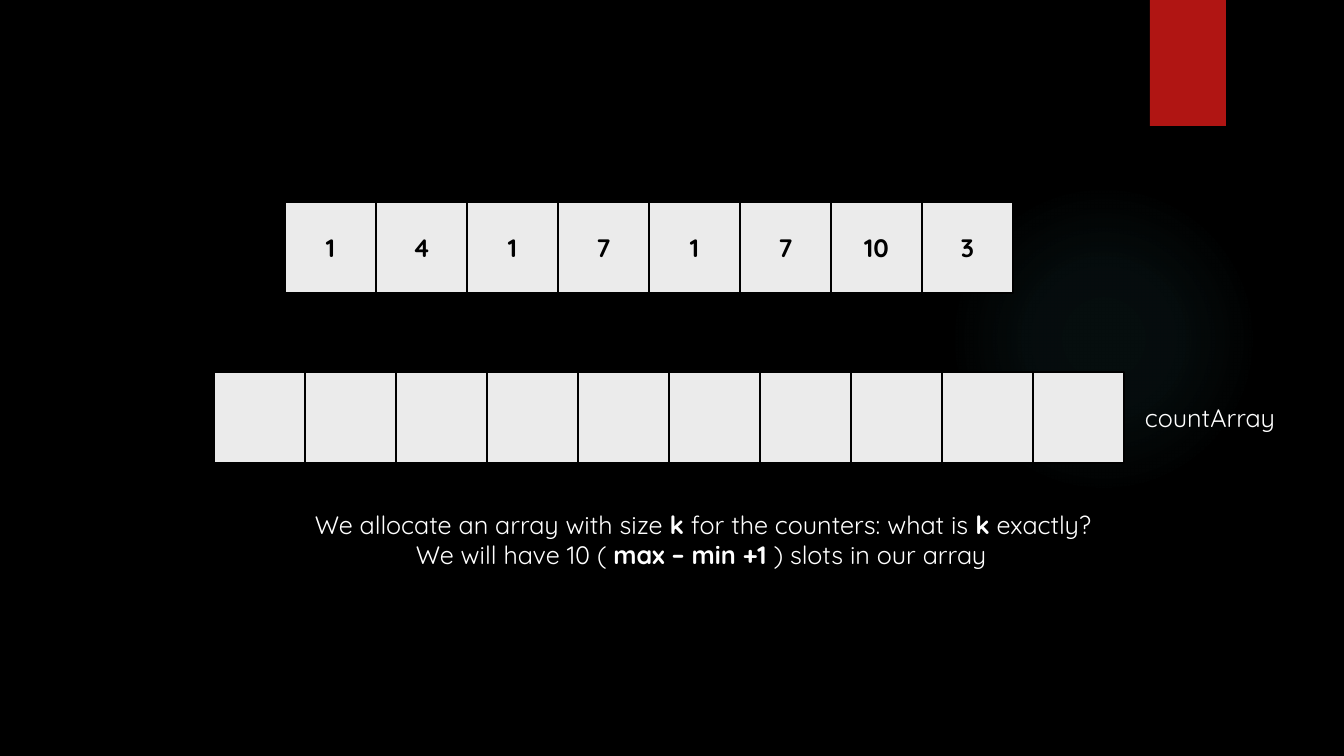
from lxml import etree
from pptx import Presentation
from pptx.dml.color import RGBColor
from pptx.enum.shapes import MSO_SHAPE
from pptx.enum.text import MSO_ANCHOR, PP_ALIGN
from pptx.oxml import parse_xml
from pptx.oxml.ns import nsdecls, qn
from pptx.util import Emu, Pt

COLORS = {"black": "000000", "cell": "EBEBEB", "white": "FFFFFF",
          "red": "B01513", "glow": "50B9C1"}
FONT, SIZE = "Quicksand", 18
EMU_PER_PX = 914400 / 100.8

# Each row of cells: left, top, values
ARRAYS = [
    (285, 202, ["1", "4", "1", "7", "1", "7", "10", "3"]),
    (214, 372, [""] * 10),
]
CELL = 91

# Each text: box, then lines of (indent, [(words, bold), ...])
TEXTS = [
    ((305, 504, 841, 72), [
        (0, [("We allocate an array with size ", False), ("k", True),
             (" for the counters: what is ", False), ("k", True),
             (" exactly?", False)]),
        (101, [("We will have 10 ( ", False), ("max – min +1 ", True),
               (") slots in our array", False)]),
    ]),
    ((1135, 397, 158, 40), [(0, [("countArray", False)])]),
]
GLOW_STOPS = [(0, 7), (36, 6), (69, 0)]  # position %, opacity %


def px(n):
    return Emu(round(n * EMU_PER_PX))


def rgb(name):
    return RGBColor.from_string(COLORS[name])


def add_block(slide, kind, box, fill=None):
    sp = slide.shapes.add_shape(kind, *map(px, box))
    sp.shadow.inherit = False
    sp.line.fill.background()
    if fill:
        sp.fill.solid()
        sp.fill.fore_color.rgb = rgb(fill)
    return sp


def add_glow(slide, box):
    """Add a circle whose faint colour fades out from its centre."""
    sp = add_block(slide, MSO_SHAPE.OVAL, box)
    stops = "".join(
        f'<a:gs pos="{pos * 1000}"><a:srgbClr val="{COLORS["glow"]}">'
        f'<a:alpha val="{alpha * 1000}"/></a:srgbClr></a:gs>'
        for pos, alpha in GLOW_STOPS)
    grad = parse_xml(
        f'<a:gradFill {nsdecls("a")}><a:gsLst>{stops}</a:gsLst>'
        '<a:path path="circle"><a:fillToRect l="50000" t="50000" '
        'r="50000" b="50000"/></a:path></a:gradFill>')
    sp._element.spPr.find(qn("a:prstGeom")).addnext(grad)


def set_font(p, color, bold=None):
    p.font.name, p.font.size, p.font.bold = FONT, Pt(SIZE), bold
    p.font.color.rgb = rgb(color)


def add_cell(slide, left, top, value):
    sp = add_block(slide, MSO_SHAPE.RECTANGLE, (left, top, CELL, CELL), "cell")
    sp.line.color.rgb = rgb("black")
    sp.line.width = Pt(1.5)
    if value:
        tf = sp.text_frame
        tf.vertical_anchor = MSO_ANCHOR.MIDDLE
        p = tf.paragraphs[0]
        p.text, p.alignment = value, PP_ALIGN.CENTER
        set_font(p, "black", True)


def add_text(slide, box, lines):
    tf = slide.shapes.add_textbox(*map(px, box)).text_frame
    tf.word_wrap = True
    for i, (indent, runs) in enumerate(lines):
        p = tf.add_paragraph() if i else tf.paragraphs[0]
        set_font(p, "white")
        if indent:
            p._p.get_or_add_pPr().set("marL", str(px(indent)))
        for words, bold in runs:
            r = p.add_run()
            r.text, r.font.bold = words, bold


def main():
    prs = Presentation()
    prs.slide_width, prs.slide_height = px(1344), px(756)
    slide = prs.slides.add_slide(prs.slide_layouts[6])
    slide.background.fill.solid()
    slide.background.fill.fore_color.rgb = rgb("black")

    add_glow(slide, (949, 184, 310, 310))
    add_block(slide, MSO_SHAPE.RECTANGLE, (1150, 0, 76, 126), "red")
    for left, top, values in ARRAYS:
        for i, value in enumerate(values):
            add_cell(slide, left + i * CELL, top, value)
    for box, lines in TEXTS:
        add_text(slide, box, lines)
    prs.save("out.pptx")


if __name__ == "__main__":
    main()
